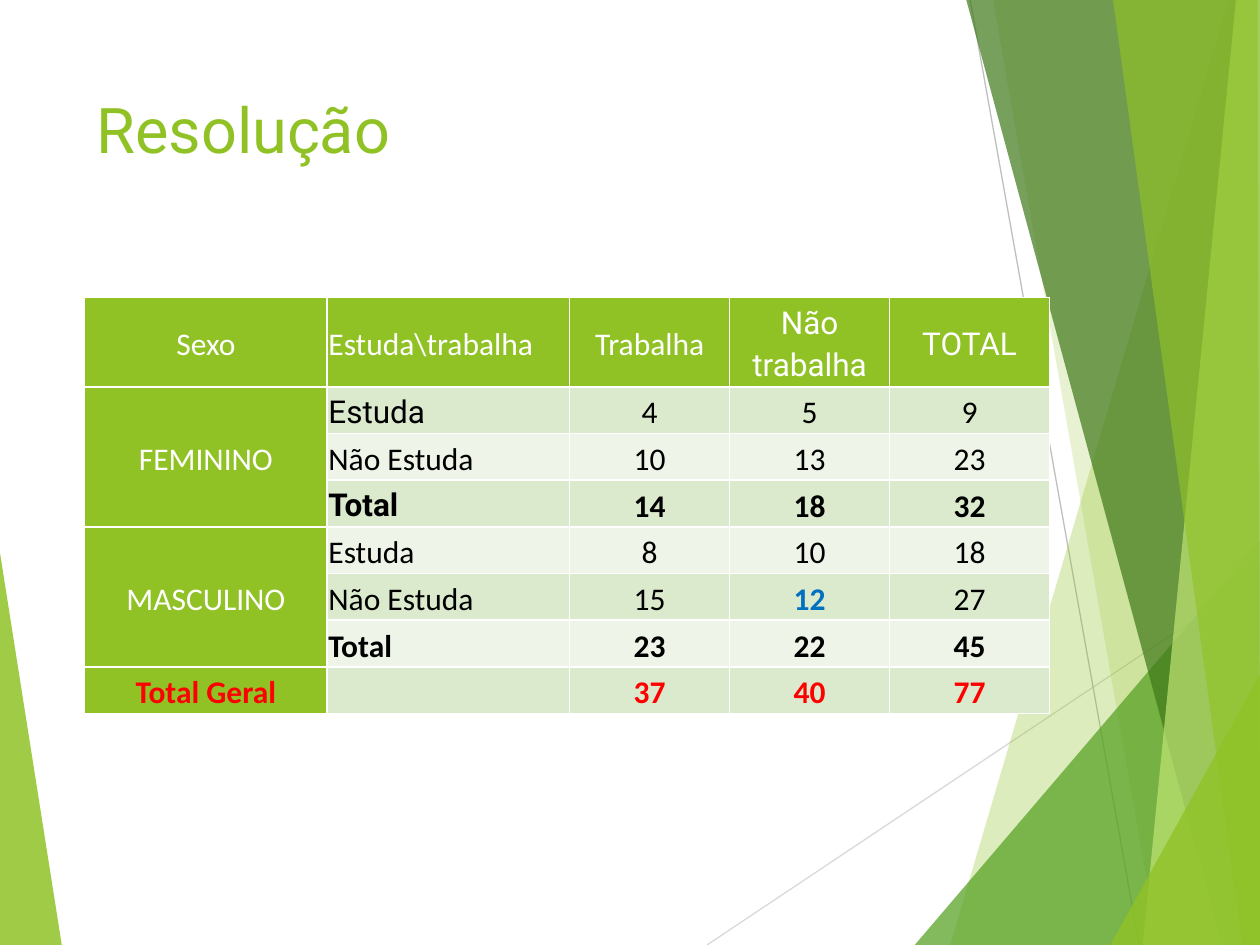
import pptx
import pptx.dml.color
import pptx.enum.shapes
import pptx.enum.text
import pptx.oxml
import pptx.oxml.ns
import pptx.util
from lxml import etree

Pt = pptx.util.Pt
RGBColor = pptx.dml.color.RGBColor
ALIGN = pptx.enum.text.PP_ALIGN
MIDDLE = pptx.enum.text.MSO_ANCHOR.MIDDLE
qn = pptx.oxml.ns.qn

WIDTH, HEIGHT = 720, 540
WHITE = RGBColor(0xFF, 0xFF, 0xFF)
BLACK = RGBColor(0x00, 0x00, 0x00)
LIME = RGBColor(0x90, 0xC2, 0x26)
GREEN = RGBColor(0x54, 0xA0, 0x21)
DARK_GREEN = RGBColor(0x3F, 0x78, 0x19)
PALE_LIME = RGBColor(0xC0, 0xE4, 0x74)
BAND_DARK = RGBColor(0xDB, 0xE9, 0xCD)
BAND_LIGHT = RGBColor(0xEE, 0xF4, 0xE8)
LIGHT_GRAY = RGBColor(0xD9, 0xD9, 0xD9)
GRAY = RGBColor(0xBF, 0xBF, 0xBF)
RED = RGBColor(0xFF, 0x00, 0x00)
BLUE = RGBColor(0x00, 0x70, 0xC0)

# Decoration: corners, colour, opacity in percent
LEFT_FACET = ([(0, 316), (35.3, HEIGHT), (0, HEIGHT)], LIME, 85)
RIGHT_FACETS = [
    ([(702, 0), (543, HEIGHT), (WIDTH, HEIGHT), (WIDTH, 0)], LIME, 30),
    ([(567.4, 0), (661.7, HEIGHT), (WIDTH, HEIGHT), (WIDTH, 0)], LIME, 20),
    ([(522.7, HEIGHT), (WIDTH, 309), (WIDTH, HEIGHT)], GREEN, 72),
    ([(552.2, 0), (698.4, HEIGHT), (WIDTH, HEIGHT), (WIDTH, 0)], DARK_GREEN, 70),
    ([(706.3, 0), (653, HEIGHT), (WIDTH, HEIGHT), (WIDTH, 0)], PALE_LIME, 70),
    ([(636, 0), (710, HEIGHT), (WIDTH, HEIGHT), (718.6, 0)], LIME, 65),
    ([(634.5, HEIGHT), (WIDTH, 385.5), (WIDTH, HEIGHT)], LIME, 80),
]

# Table content; an empty first column continues the merged cell above
ROWS = [
    ["Sexo", "Estuda\\trabalha", "Trabalha", "Não trabalha", "TOTAL"],
    ["FEMININO", "Estuda", "4", "5", "9"],
    ["", "Não Estuda", "10", "13", "23"],
    ["", "Total", "14", "18", "32"],
    ["MASCULINO", "Estuda", "8", "10", "18"],
    ["", "Não Estuda", "15", "12", "27"],
    ["", "Total", "23", "22", "45"],
    ["Total Geral", "", "37", "40", "77"],
]
COLUMN_WIDTHS = [138.6, 138.6, 91.4, 91.4, 91.4]
HEADER_HEIGHT, ROW_HEIGHT = 50.5, 26.7
GROUP_STARTS, GROUP_SIZE = (1, 4), 3
GRAND_TOTAL_ROW = len(ROWS) - 1
ROBOTO_CELLS = {(0, 3), (0, 4), (1, 1), (3, 1)}
HIGHLIGHT_CELL = (5, 3)


def add_facet(slide, points, color, opacity):
    corners = [(Pt(x), Pt(y)) for x, y in points]
    builder = slide.shapes.build_freeform(*corners[0], scale=1)
    builder.add_line_segments(corners[1:], close=True)
    shape = builder.convert_to_shape()
    shape.shadow.inherit = False
    shape.line.fill.background()
    shape.fill.solid()
    shape.fill.fore_color.rgb = color
    color_element = shape.fill._xPr.find(qn("a:solidFill"))[0]
    etree.SubElement(color_element, qn("a:alpha"), val=str(opacity * 1000))


def add_line(slide, start, end, color):
    connector = slide.shapes.add_connector(
        pptx.enum.shapes.MSO_CONNECTOR.STRAIGHT, *map(Pt, start + end))
    connector.line.color.rgb = color
    connector.line.width = Pt(0.75)
    etree.SubElement(connector._element.spPr, qn("a:effectLst"))


def style_font(paragraph, name, size, color, bold=False):
    font = paragraph.font
    font.name, font.size, font.bold = name, Pt(size), bold
    font.color.rgb = color


def add_title(slide, text):
    box = slide.shapes.add_textbox(Pt(48), Pt(48), Pt(500), Pt(104))
    box.text_frame.word_wrap = True
    paragraph = box.text_frame.paragraphs[0]
    paragraph.text = text
    style_font(paragraph, "Roboto", 36, LIME)


def set_borders(cell, color, width):
    properties = cell._tc.get_or_add_tcPr()
    for side in ("lnL", "lnR", "lnT", "lnB"):
        line = etree.SubElement(properties, qn("a:" + side), w=str(Pt(width)))
        fill = etree.SubElement(line, qn("a:solidFill"))
        etree.SubElement(fill, qn("a:srgbClr"), val=str(color))


def cell_style(row, column):
    """Return fill colour, text colour and boldness by place in the table."""
    if row == 0 or column == 0:
        fill, color = LIME, WHITE
    else:
        fill, color = (BAND_DARK if row % 2 else BAND_LIGHT), BLACK
    bold = column > 0 and ROWS[row][1] == "Total"
    if row == GRAND_TOTAL_ROW:
        color, bold = RED, True
    elif (row, column) == HIGHLIGHT_CELL:
        color, bold = BLUE, True
    return fill, color, bold


def fill_cell(cell, row, column):
    fill, color, bold = cell_style(row, column)
    set_borders(cell, WHITE, 1)
    cell.fill.solid()
    cell.fill.fore_color.rgb = fill
    cell.margin_left = cell.margin_right = Pt(0.7)
    cell.margin_top = cell.margin_bottom = Pt(0.7)
    cell.vertical_anchor = MIDDLE
    paragraph = cell.text_frame.paragraphs[0]
    paragraph.text = ROWS[row][column]
    paragraph.alignment = ALIGN.LEFT if column == 1 else ALIGN.CENTER
    paragraph.line_spacing = 1.15
    name = "Roboto" if (row, column) in ROBOTO_CELLS else "Calibri"
    style_font(paragraph, name, 18, color, bold)


def add_results_table(slide):
    heights = [HEADER_HEIGHT] + [ROW_HEIGHT] * (len(ROWS) - 1)
    table = slide.shapes.add_table(
        len(ROWS), len(COLUMN_WIDTHS), Pt(48.4), Pt(170),
        Pt(sum(COLUMN_WIDTHS)), Pt(sum(heights))).table
    table.first_row = table.horz_banding = False
    for column, width in zip(table.columns, COLUMN_WIDTHS):
        column.width = Pt(width)
    for row, height in zip(table.rows, heights):
        row.height = Pt(height)
    for row, texts in enumerate(ROWS):
        for column in range(len(texts)):
            fill_cell(table.cell(row, column), row, column)
    for start in GROUP_STARTS:
        table.cell(start, 0).merge(table.cell(start + GROUP_SIZE - 1, 0))


def main():
    presentation = pptx.Presentation()
    presentation.slide_width, presentation.slide_height = Pt(WIDTH), Pt(HEIGHT)
    slide = presentation.slides.add_slide(presentation.slide_layouts[6])

    # Background decoration
    add_facet(slide, *LEFT_FACET)
    add_line(slide, (404, HEIGHT), (WIDTH, 329), LIGHT_GRAY)
    add_line(slide, (554.4, 0), (651, HEIGHT), GRAY)
    for facet in RIGHT_FACETS:
        add_facet(slide, *facet)

    # Content
    add_title(slide, "Resolução")
    add_results_table(slide)

    presentation.save("out.pptx")


if __name__ == "__main__":
    main()
